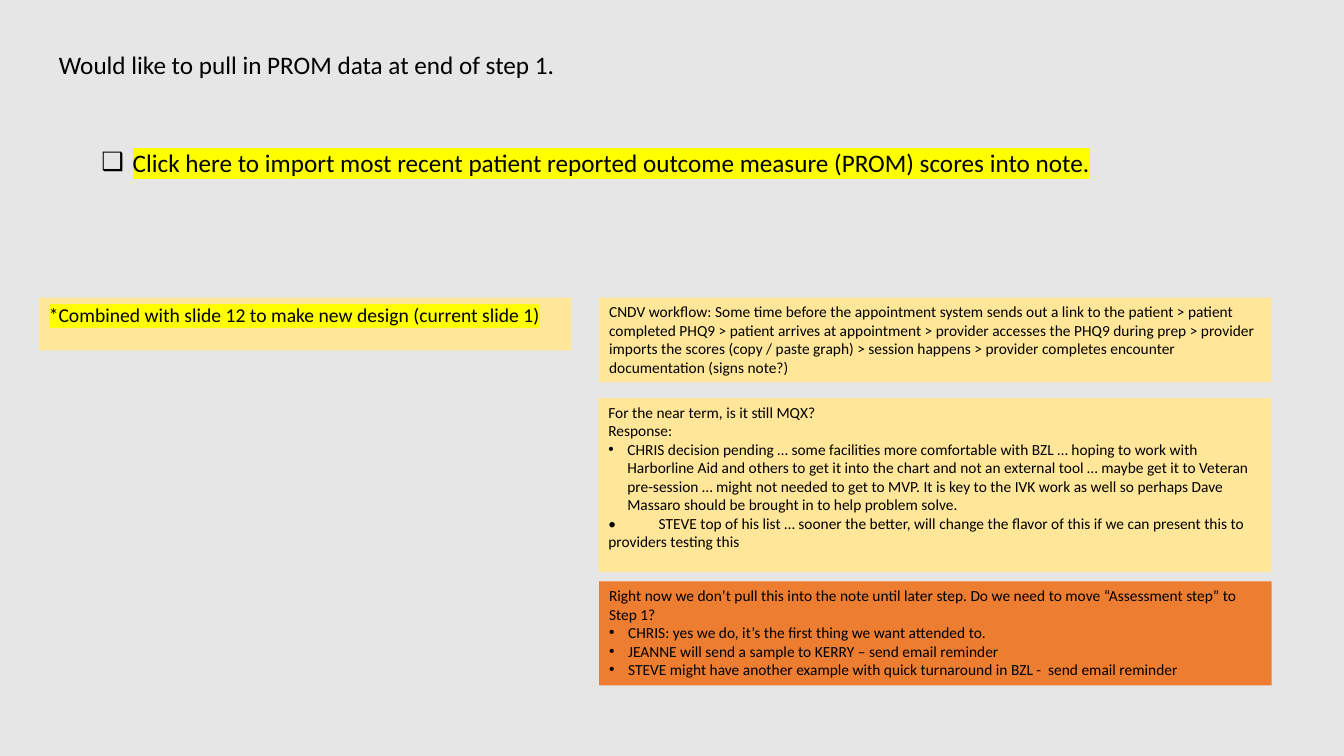
from dataclasses import dataclass

from lxml import etree
from pptx import Presentation
from pptx import util as u
from pptx.dml.color import RGBColor
from pptx.enum import shapes, text
from pptx.oxml.ns import qn


@dataclass(frozen=True)
class Theme:
    font: str = "Calibri"
    ink: str = "000000"
    background: str = "E7E6E6"
    note: str = "FFE699"
    question: str = "ED7D31"
    marker: str = "FFFF00"
    heading_size: int = 18
    remark_size: int = 14
    note_size: int = 11


theme = Theme()


def write(frame, lines, size, marked=False, hang=0.48):
    """Fill a frame with (bullet, wording) lines; hang is the bullet indent in cm."""
    frame.word_wrap = True
    frame.auto_size = text.MSO_AUTO_SIZE.NONE
    frame.vertical_anchor = text.MSO_ANCHOR.TOP
    for index, (bullet, wording) in enumerate(lines):
        paragraph = frame.add_paragraph() if index else frame.paragraphs[0]
        paragraph.alignment = text.PP_ALIGN.LEFT
        paragraph.space_before = u.Pt(0)
        properties = paragraph._p.get_or_add_pPr()
        indent = u.Cm(hang) if bullet else 0
        properties.set("marL", str(indent))
        properties.set("indent", str(-indent))
        if bullet:
            etree.SubElement(properties, qn("a:buFont"), typeface="Arial")
            etree.SubElement(properties, qn("a:buChar"), char=bullet)
        else:
            etree.SubElement(properties, qn("a:buNone"))
        if "\t" in wording:
            stops = etree.SubElement(properties, qn("a:tabLst"))
            etree.SubElement(stops, qn("a:tab"), pos=str(u.Cm(0.98)), algn="l")

        run = paragraph.add_run()
        run.text = wording
        run.font.size = u.Pt(size)
        run.font.name = theme.font
        run.font.color.rgb = RGBColor.from_string(theme.ink)
        if marked:
            highlight = etree.Element(qn("a:highlight"))
            etree.SubElement(highlight, qn("a:srgbClr"), val=theme.marker)
            run.font._element.find(qn("a:solidFill")).addnext(highlight)


def place(item, left, top, width, height):
    item.left, item.top, item.width, item.height = map(u.Cm, (left, top, width, height))


deck = Presentation()
deck.slide_width, deck.slide_height = u.Cm(33.87), u.Cm(19.05)
slide = deck.slides.add_slide(deck.slide_layouts[1])
slide.background.fill.solid()
slide.background.fill.fore_color.rgb = RGBColor.from_string(theme.background)

# Request and the checkbox it asks for
request = slide.shapes.title
place(request, 1.23, 1.12, 14, 1.03)
write(request.text_frame, [("", "Would like to pull in PROM data at end of step 1.")],
      theme.heading_size)

checkbox = slide.placeholders[1]
place(checkbox, 2.3, 3.58, 26, 1.03)
write(checkbox.text_frame,
      [("❑", "Click here to import most recent patient reported outcome measure "
             "(PROM) scores into note.")],
      theme.heading_size, marked=True, hang=0.79)

# Discussion notes: position, fill, type size, highlighting, lines
remark = [("", "*Combined with slide 12 to make new design (current slide 1)")]
workflow = [
    ("", "CNDV workflow: Some time before the appointment system sends out a link to the "
         "patient > patient completed PHQ9 > patient arrives at appointment > provider "
         "accesses the PHQ9 during prep > provider imports the scores (copy / paste graph) "
         "> session happens > provider completes encounter documentation (signs note?)"),
]
near_term = [
    ("", "For the near term, is it still MQX?"),
    ("", "Response:"),
    ("•", "CHRIS decision pending … some facilities more comfortable with BZL … hoping to "
          "work with Harborline Aid and others to get it into the chart and not an external "
          "tool … maybe get it to Veteran pre-session … might not needed to get to MVP. It "
          "is key to the IVK work as well so perhaps Dave Massaro should be brought in to "
          "help problem solve."),
    ("", "•\tSTEVE top of his list … sooner the better, will change the flavor of this if "
         "we can present this to providers testing this"),
]
assessment = [
    ("", "Right now we don’t pull this into the note until later step. Do we need to move "
         "“Assessment step” to Step 1?"),
    ("•", "CHRIS: yes we do, it’s the first thing we want attended to."),
    ("•", "JEANNE will send a sample to KERRY – send email reminder"),
    ("•", "STEVE might have another example with quick turnaround in BZL -  send email "
          "reminder"),
]
notes = [
    ((0.98, 7.5, 13.42, 1.33), theme.note, theme.remark_size, True, remark),
    ((15.1, 7.5, 16.95, 2.13), theme.note, theme.note_size, False, workflow),
    ((15.08, 10.03, 16.97, 4.39), theme.note, theme.note_size, False, near_term),
    ((15.1, 14.65, 16.95, 2.62), theme.question, theme.note_size, False, assessment),
]
for bounds, fill, size, marked, lines in notes:
    note = slide.shapes.add_shape(shapes.MSO_SHAPE.RECTANGLE, *map(u.Cm, bounds))
    note.shadow.inherit = False
    note.fill.solid()
    note.fill.fore_color.rgb = RGBColor.from_string(fill)
    note.line.fill.background()
    write(note.text_frame, lines, size, marked)

deck.save("out.pptx")
